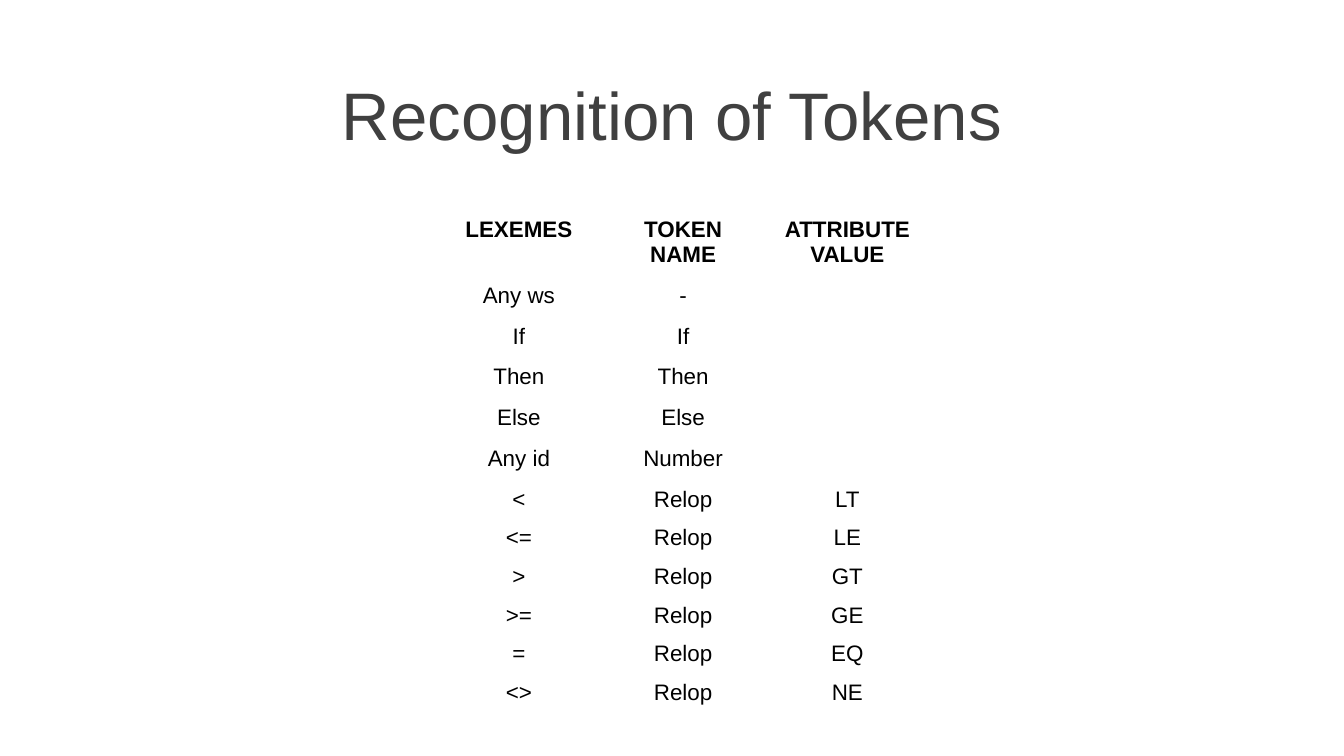
import pptx
import pptx.dml.color
import pptx.enum.text
import pptx.util
from lxml import etree
from pptx.oxml.ns import qn

Pt = pptx.util.Pt
CENTER = pptx.enum.text.PP_ALIGN.CENTER
MIDDLE = pptx.enum.text.MSO_ANCHOR.MIDDLE

# Content
TITLE = "Recognition of Tokens"
HEADER = ("LEXEMES", "TOKEN NAME", "ATTRIBUTE VALUE")
TOKENS = [
    ("Any ws", "-", ""),
    ("If", "If", ""),
    ("Then", "Then", ""),
    ("Else", "Else", ""),
    ("Any id", "Number", ""),
    ("<", "Relop", "LT"),
    ("<=", "Relop", "LE"),
    (">", "Relop", "GT"),
    (">=", "Relop", "GE"),
    ("=", "Relop", "EQ"),
    ("<>", "Relop", "NE"),
]

# Layout and formats
SLIDE_W, SLIDE_H = 720, 405
TABLE_LEFT, TABLE_TOP = 234, 112.5
COL_W, HEADER_H, ROW_H = 88, 35.5, 20.4
WHITE = "FFFFFF"
TITLE_FONT = {"name": "Arial", "size": Pt(36), "bold": False}
CELL_FONT = {"name": "Arial", "size": Pt(12)}


def rgb(value):
    return pptx.dml.color.RGBColor.from_string(value)


def format_font(font, color, values):
    for name, value in values.items():
        setattr(font, name, value)
    font.color.rgb = rgb(color)


def add_border(tc_pr, side, width):
    ln = etree.SubElement(tc_pr, qn("a:" + side), w=str(Pt(width)))
    fill = etree.SubElement(ln, qn("a:solidFill"))
    etree.SubElement(fill, qn("a:srgbClr"), val=WHITE)


def fill_cell(cell, text, is_header):
    # Borders come before the fill in the cell properties
    tc_pr = cell._tc.get_or_add_tcPr()
    for side in ("lnL", "lnR", "lnT", "lnB"):
        add_border(tc_pr, side, 3 if is_header and side == "lnB" else 1)
    cell.fill.solid()
    cell.fill.fore_color.rgb = rgb(WHITE)
    p = cell.text_frame.paragraphs[0]
    p.alignment = CENTER
    if text:
        r = p.add_run()
        r.text = text
        format_font(r.font, "000000", {**CELL_FONT, "bold": is_header})
    else:
        # Keeps an empty cell as low as its row
        etree.SubElement(p._p, qn("a:endParaRPr"), sz="1200")


prs = pptx.Presentation()
prs.slide_width, prs.slide_height = Pt(SLIDE_W), Pt(SLIDE_H)
s = prs.slides.add_slide(prs.slide_layouts[5])

# Title
title = s.shapes.title
title.left, title.top, title.width, title.height = Pt(0), Pt(38), Pt(SLIDE_W), Pt(45.5)
tf = title.text_frame
tf.vertical_anchor = MIDDLE
tf.auto_size = pptx.enum.text.MSO_AUTO_SIZE.NONE
p = tf.paragraphs[0]
p.alignment = CENTER
r = p.add_run()
r.text = TITLE
format_font(r.font, "404040", TITLE_FONT)

# Token table
rows = [HEADER] + TOKENS
table = s.shapes.add_table(
    len(rows), len(HEADER), Pt(TABLE_LEFT), Pt(TABLE_TOP),
    Pt(COL_W * len(HEADER)), Pt(HEADER_H + ROW_H * len(TOKENS))).table
for col in table.columns:
    col.width = Pt(COL_W)
for i, texts in enumerate(rows):
    table.rows[i].height = Pt(ROW_H if i else HEADER_H)
    for j, text in enumerate(texts):
        fill_cell(table.cell(i, j), text, i == 0)

prs.save("out.pptx")
